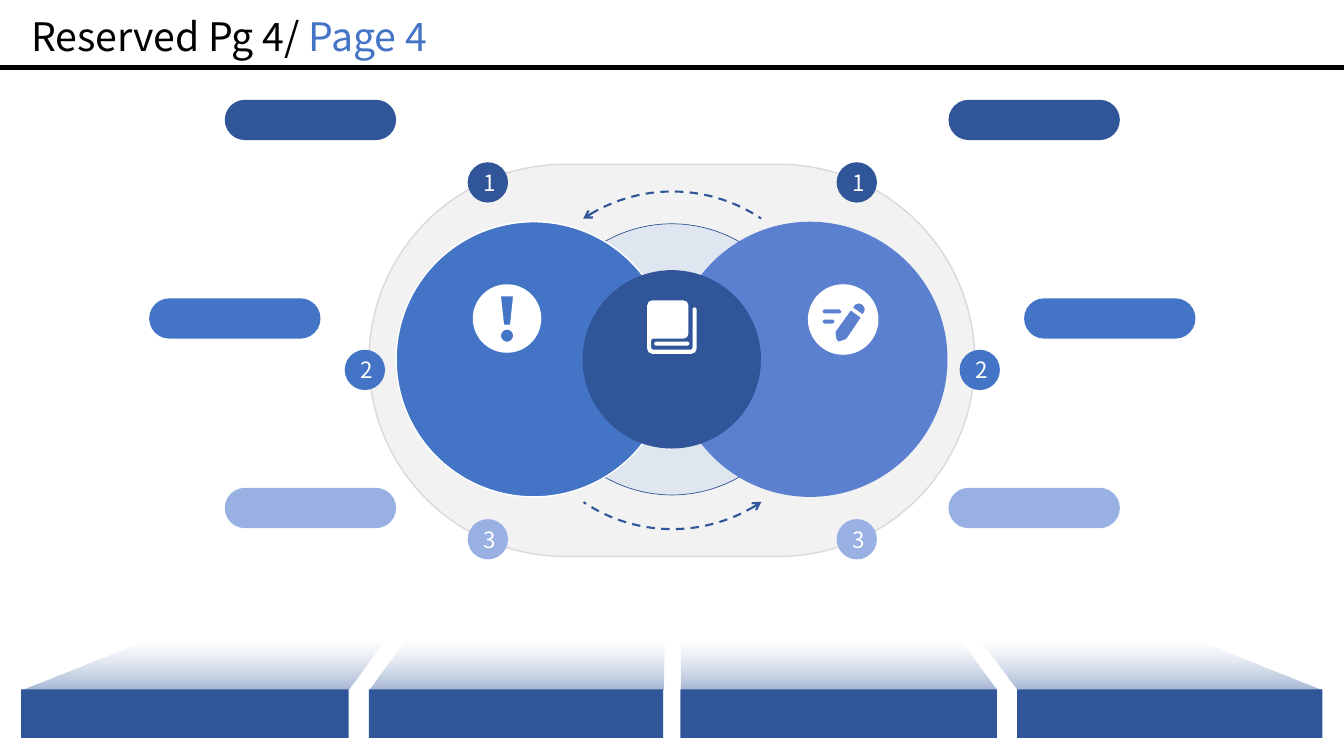
"""Build the two-circle comparison slide with numbered labels and a row of slabs."""
from dataclasses import dataclass
from math import ceil, cos, radians, sin, tan

from lxml import etree
from pptx import Presentation
from pptx.dml.color import RGBColor
from pptx.enum.dml import MSO_LINE
from pptx.enum.shapes import MSO_CONNECTOR, MSO_SHAPE
from pptx.enum.text import MSO_ANCHOR, MSO_AUTO_SIZE, PP_ALIGN
from pptx.oxml.ns import qn
from pptx.util import Inches, Pt

OVAL, ROUNDED, ARC = MSO_SHAPE.OVAL, MSO_SHAPE.ROUNDED_RECTANGLE, MSO_SHAPE.ARC
STRAIGHT, DASH = MSO_CONNECTOR.STRAIGHT, MSO_LINE.DASH
CENTER, MIDDLE, GROW = PP_ALIGN.CENTER, MSO_ANCHOR.MIDDLE, MSO_AUTO_SIZE.SHAPE_TO_FIT_TEXT


@dataclass(frozen=True)
class Theme:
    """Colours, font and type sizes."""
    font: str = "Noto Sans CJK SC"
    title: int = 28
    badge: int = 16
    black: RGBColor = RGBColor.from_string("000000")
    white: RGBColor = RGBColor.from_string("FFFFFF")
    navy: RGBColor = RGBColor.from_string("305598")
    shade: RGBColor = RGBColor.from_string("2F5698")
    blue: RGBColor = RGBColor.from_string("4474C5")
    violet: RGBColor = RGBColor.from_string("5B80D0")
    pale: RGBColor = RGBColor.from_string("99B0E3")
    halo: RGBColor = RGBColor.from_string("D0DBF0")
    panel: RGBColor = RGBColor.from_string("F2F2F2")
    edge: RGBColor = RGBColor.from_string("D9D9D9")


def arc(x, y, radius, start, end):
    """Return a start point and Bezier steps for an arc, in degrees clockwise from the right."""
    pieces = ceil(abs(end - start) / 90)
    sweep = radians(end - start) / pieces
    reach = 4 / 3 * tan(sweep / 4)
    steps = [[(x + radius * cos(radians(start)), y + radius * sin(radians(start)))]]
    for piece in range(pieces):
        a = radians(start) + piece * sweep
        b = a + sweep
        curve = [(cos(a) - reach * sin(a), sin(a) + reach * cos(a)),
                 (cos(b) + reach * sin(b), sin(b) - reach * cos(b)), (cos(b), sin(b))]
        steps.append([(x + radius * dx, y + radius * dy) for dx, dy in curve])
    return steps


def set_opacity(color_parent, percent):
    """Give the colour inside an element an opacity."""
    color = next(color_parent.iter(qn("a:srgbClr")))
    etree.SubElement(color, qn("a:alpha"), val=str(percent * 1000))


theme = Theme()
deck = Presentation()
deck.slide_width, deck.slide_height = Inches(13.333), Inches(7.5)
page = deck.slides.add_slide(deck.slide_layouts[6])

rule = page.shapes.add_connector(STRAIGHT, 0, Inches(0.67), deck.slide_width, Inches(0.67))
rule.line.color.rgb = theme.black
rule.line.width = Pt(3)
etree.SubElement(rule._element.spPr, qn("a:effectLst"))

title = page.shapes.add_textbox(Inches(0.21), Inches(0.07), Inches(5.94), Inches(0.57))
title.text_frame.word_wrap = False
title.text_frame.auto_size = GROW
para = title.text_frame.paragraphs[0]
para.font.name, para.font.size = theme.font, Pt(theme.title)
for text, color in [("Reserved Pg 4/ ", theme.black), ("Page 4", theme.blue)]:
    span = para.add_run()
    span.text = text
    span.font.color.rgb = color

solids = [
    (ROUNDED, 3.66, 1.63, 6.01, 3.89, theme.panel, theme.edge, 1, ""),
    (OVAL, 5.32, 2.22, 2.69, 2.69, theme.halo, theme.navy, 0.5, ""),
    (OVAL, 3.93, 2.2, 2.73, 2.73, theme.blue, theme.white, 1, ""),
    (OVAL, 6.67, 2.2, 2.73, 2.73, theme.violet, None, 0, ""),
    (OVAL, 5.78, 2.68, 1.77, 1.77, theme.navy, None, 0, ""),
]
tiers = [
    ("1", theme.navy, 4.64, 1.61, 2.23, 0.99),
    ("2", theme.blue, 3.42, 3.47, 1.48, 2.96),
    ("3", theme.pale, 4.64, 5.15, 2.23, 4.84),
]
mirror = 13.34
for number, color, badge_left, badge_top, pill_left, pill_top in tiers:
    for left in (badge_left, mirror - badge_left - 0.4):
        solids.append((OVAL, left, badge_top, 0.4, 0.4, color, None, 0, number))
    for left in (pill_left, mirror - pill_left - 1.7):
        solids.append((ROUNDED, left, pill_top, 1.7, 0.4, color, None, 0, ""))

for kind, left, top, width, height, color, edge, weight, label in solids:
    shape = page.shapes.add_shape(kind, Inches(left), Inches(top), Inches(width), Inches(height))
    shape.shadow.inherit = False
    shape.fill.solid()
    shape.fill.fore_color.rgb = color
    if kind == ROUNDED:
        shape.adjustments[0] = 0.5
    if color == theme.halo:
        set_opacity(shape._element.spPr, 52)
    if edge:
        shape.line.color.rgb = edge
        shape.line.width = Pt(weight)
    else:
        shape.line.fill.background()
    if label:
        shape.text_frame.vertical_anchor = MIDDLE
        para = shape.text_frame.paragraphs[0]
        para.text = label
        para.alignment = CENTER
        para.font.name, para.font.size = theme.font, Pt(theme.badge)
        para.font.color.rgb = theme.white

half_turn = 108
for top, turn in [(1.9, 0), (2.09, half_turn)]:
    arrow = page.shapes.add_shape(ARC, Inches(5.09), Inches(top), Inches(3.16), Inches(3.16))
    arrow.adjustments[0] = 141.58 - turn
    arrow.adjustments[1] = 182.32 - turn
    arrow.shadow.inherit = False
    arrow.fill.background()
    arrow.line.color.rgb = theme.navy
    arrow.line.width = Pt(1.5)
    arrow.line.dash_style = DASH
    etree.SubElement(arrow.line._get_or_add_ln(), qn("a:headEnd"), type="arrow")

stroke = [(5.09, 2.94), (5.06, 3.22), (5, 3.22), (4.97, 2.94)]
exclamation = [arc(5.03, 3.16, 0.34, 0, 360), [[point] for point in stroke],
               arc(5.03, 3.33, 0.06, 0, 360)]
book = [
    arc(6.51, 3.41, 0.02, 90, 270) + arc(6.82, 3.41, 0.02, -90, 90),
    arc(6.85, 3.45, 0.02, 90, 0) + arc(6.89, 3.07, 0.02, 180, 360)
    + arc(6.86, 3.46, 0.05, 0, 90) + arc(6.47, 3.46, 0.05, 90, 180)
    + arc(6.47, 3.03, 0.05, 180, 270) + arc(6.78, 3.03, 0.05, 270, 360)
    + arc(6.78, 3.31, 0.05, 0, 90) + arc(6.48, 3.38, 0.02, 270, 180)
    + arc(6.48, 3.45, 0.02, 180, 90),
]
barrel = [(8.44, 3.08), (8.29, 3.29), (8.29, 3.31), (8.3, 3.37), (8.32, 3.39),
          (8.38, 3.37), (8.4, 3.36), (8.54, 3.15)]
pencil = [arc(8.365, 3.17, 0.35, 0, 360), [[point] for point in barrel],
          [[(8.46, 3.05)]] + arc(8.52, 3.07, 0.06, 200, 405) + [[(8.56, 3.12)]]]
for y, right in [(3.19, 8.26), (3.09, 8.33)]:
    pencil.append(arc(8.18, y, 0.02, 90, 270) + arc(right, y, 0.02, -90, 90))

slabs = [(0.21, 3.46, 1.46, 3.82), (3.66, 6.58, 4.02, 6.59),
         (6.75, 9.89, 6.75, 9.53), (10.09, 13.12, 9.72, 11.88)]
fronts = [[[(left, 6.84)], [(right, 6.84)], [(right, 7.32)], [(left, 7.32)]]
          for left, right, _, _ in slabs]
tops = [[[(back_left, 6.35)], [(back_right, 6.35)], [(right, 6.84)], [(left, 6.84)]]
        for left, right, back_left, back_right in slabs]

outlines = [(exclamation, theme.white), (book, theme.white), (pencil, theme.white),
            (fronts, theme.navy), (tops, None)]
for contours, color in outlines:
    traces = [[(Inches(x), Inches(y)) for step in contour for x, y in step]
              for contour in contours]
    builder = page.shapes.build_freeform(*traces[0][0])
    for index, trace in enumerate(traces):
        if index:
            builder.move_to(*trace[0])
        builder.add_line_segments(trace[1:], close=True)
    shape = builder.convert_to_shape()
    outline = next(shape._element.iter(qn("a:path")))
    nodes = iter(list(outline))
    for contour in contours:
        for step in contour:
            group = [next(nodes) for _ in step]
            if len(step) == 3:
                curve = etree.Element(qn("a:cubicBezTo"))
                group[0].addprevious(curve)
                for node in group:
                    curve.append(node[0])
                    outline.remove(node)
        next(nodes)
    shape.shadow.inherit = False
    shape.line.fill.background()
    if color:
        shape.fill.solid()
        shape.fill.fore_color.rgb = color
    else:
        shape.fill.gradient()
        shape.fill.gradient_angle = 270
        fades = [(theme.white, 23), (theme.shade, 43)]
        for stop, (shade, percent) in zip(shape.fill.gradient_stops, fades):
            stop.color.rgb = shade
            set_opacity(stop._gs, percent)

deck.save("out.pptx")
